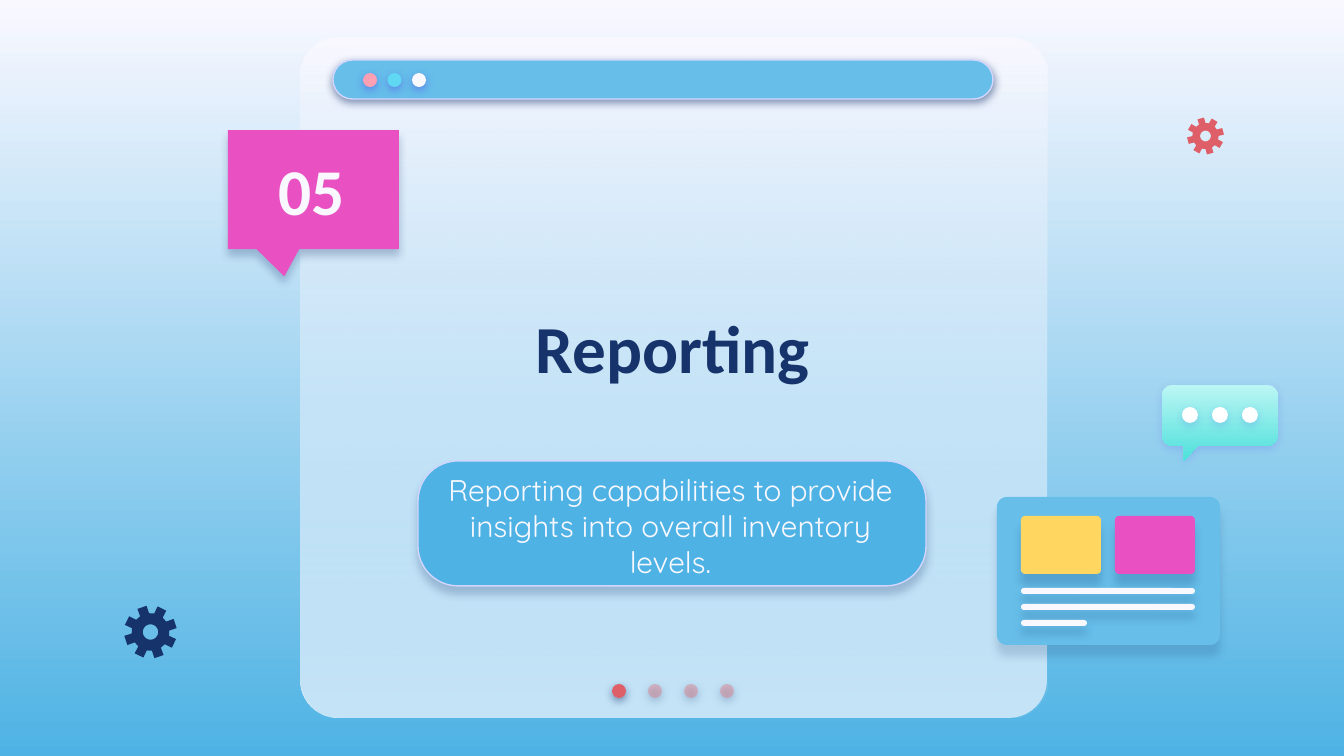
import math
from dataclasses import dataclass

from lxml import etree
from pptx import Presentation
from pptx import util as u
from pptx.dml.color import RGBColor
from pptx.enum import shapes, text
from pptx.oxml.ns import qn


@dataclass(frozen=True)
class Theme:
    light: str = "F9F8FF"
    white: str = "FFFFFF"
    navy: str = "17336B"
    violet: str = "5352EE"
    blue: str = "4EB3E4"
    sky: str = "66BEE9"
    border: str = "D2D6FF"
    pink: str = "E951C2"
    blush: str = "FDA0B4"
    cyan: str = "60D8F4"
    yellow: str = "FFD65F"
    red: str = "DF5F69"
    rose: str = "E27B83"
    mint: tuple = ("BBF6F4", "4EE0DB")
    heading_font: str = "Calibri"
    body_font: str = "Quicksand"
    title_size: int = 36
    number_size: int = 35
    body_size: int = 16


THEME = Theme()
SCALE = 914400 / 134.4
WIDTH, HEIGHT = 1344, 756
MSO = shapes.MSO_SHAPE

SECTION_NUMBER = "05"
SECTION_TITLE = "Reporting"
SECTION_SUMMARY = "Reporting capabilities to provide insights into overall inventory levels."

TITLE_BOX = (364, 224, 618, 245)
SUMMARY_BOX = (434, 473, 473, 105)
NUMBER_BOX = (241, 137, 142, 105)
CARD = (300, 38, 747, 680)
SUMMARY_PANEL = (418, 461, 508, 125)
ADDRESS_BAR = (333, 60, 660, 39)
CALLOUT = (228, 130, 171, 119)
BOARD = (997, 497, 223, 148)

PAGE_DOTS = [(THEME.red, 100)] + [(THEME.rose, 44)] * 3
WINDOW_DOTS = [(color, 100) for color in (THEME.blush, THEME.cyan, THEME.light)]
CHAT_DOTS = [(THEME.white, 100)] * 3
BOARD_TILES = [THEME.yellow, THEME.pink]
BOARD_LINES = [174, 174, 66]
GEARS = [(150.5, 632, 26.5, -109, THEME.navy), (1205.5, 136, 18.5, -105, THEME.red)]

BAR_SHADOW = (THEME.navy, 50, 1.5)
WINDOW_SHADOW = (THEME.violet, 50, 1.5)
CHAT_SHADOW = (THEME.violet, 18, 1.5)


def emu(px):
    return u.Emu(round(px * SCALE))


def fill_gradient(fill, colors):
    fill.gradient()
    fill.gradient_angle = 270
    for stop, color, position in zip(fill.gradient_stops, colors, (0, 1)):
        stop.color.rgb = RGBColor.from_string(color)
        stop.position = position


def set_alpha(color_element, percent):
    etree.SubElement(color_element, qn("a:alpha"), val=str(percent * 1000))


def paint(shape, color, alpha=100, border=None, shadow=None):
    if isinstance(color, tuple):
        fill_gradient(shape.fill, color)
    else:
        shape.fill.solid()
        shape.fill.fore_color.rgb = RGBColor.from_string(color)
    if alpha < 100:
        set_alpha(list(shape.element.iter(qn("a:srgbClr")))[-1], alpha)
    if border:
        shape.line.color.rgb = RGBColor.from_string(border)
        shape.line.width = u.Pt(0.75)
    else:
        shape.line.fill.background()
    shape.shadow.inherit = False
    if shadow:
        shadow_color, opacity, distance = shadow
        effects = next(shape.element.iter(qn("a:effectLst")))
        outer = etree.SubElement(
            effects, qn("a:outerShdw"), blurRad=str(u.Pt(4.5)),
            dist=str(u.Pt(distance)), dir="5400000", algn="bl", rotWithShape="0")
        set_alpha(etree.SubElement(outer, qn("a:srgbClr"), val=shadow_color), opacity)


def add_preset(slide, kind, box, color, radius=None, **look):
    shape = slide.shapes.add_shape(kind, *map(emu, box))
    if radius is not None:
        shape.adjustments[0] = radius / min(box[2:])
    paint(shape, color, **look)
    return shape


def add_dots(slide, dots, center, pitch, diameter, shadow):
    x, y = center
    for index, (color, alpha) in enumerate(dots):
        box = (x + index * pitch - diameter / 2, y - diameter / 2, diameter, diameter)
        add_preset(slide, MSO.OVAL, box, color, alpha=alpha, shadow=shadow)


def add_outline(slide, contours, color, **look):
    scaled = [[(emu(x), emu(y)) for x, y in contour] for contour in contours]
    builder = slide.shapes.build_freeform(*scaled[0][0])
    builder.add_line_segments(scaled[0][1:])
    for contour in scaled[1:]:
        builder.move_to(*contour[0])
        builder.add_line_segments(contour[1:])
    paint(builder.convert_to_shape(), color, **look)


def polar(x, y, radius, degrees):
    angle = math.radians(degrees)
    return x + radius * math.cos(angle), y + radius * math.sin(angle)


def add_gear(slide, x, y, radius, first_tooth, color):
    profile = [(-14.5, 0.71), (-10.5, 1), (10.5, 1), (14.5, 0.71)]
    rim = [polar(x, y, radius * ratio, first_tooth + tooth * 45 + offset)
           for tooth in range(8) for offset, ratio in profile]
    hole = [polar(x, y, radius * 0.29, -angle) for angle in range(0, 360, 10)]
    add_outline(slide, [rim, hole], color)


def add_chat_bubble(slide):
    left, top, right, bottom, radius = 1162, 385, 1278, 446, 11
    corners = [(right - radius, bottom - radius, 0), (left + radius, bottom - radius, 90),
               (left + radius, top + radius, 180), (right - radius, top + radius, 270)]
    arcs = [[polar(x, y, radius, start + step) for step in range(0, 91, 10)]
            for x, y, start in corners]
    tail = [(1198, bottom), (1184, 461), (1184, bottom)]
    bubble = arcs[0] + tail + arcs[1] + arcs[2] + arcs[3]
    add_outline(slide, [bubble], THEME.mint, shadow=CHAT_SHADOW)
    add_dots(slide, CHAT_DOTS, (1190, 415), 30, 16, CHAT_SHADOW)


def add_board(slide):
    add_preset(slide, MSO.ROUNDED_RECTANGLE, BOARD, THEME.sky, radius=10,
               shadow=(THEME.navy, 17, 6))
    for index, color in enumerate(BOARD_TILES):
        add_preset(slide, MSO.ROUNDED_RECTANGLE, (1021 + index * 94, 516, 80, 58), color,
                   radius=4, shadow=(THEME.navy, 20, 6))
    for index, width in enumerate(BOARD_LINES):
        add_preset(slide, MSO.ROUNDED_RECTANGLE, (1021, 588 + index * 16, width, 6),
                   THEME.light, radius=3, shadow=(THEME.navy, 21, 4.5))


def write_text(shape, words, box, size, font, color, bold=False, after=0,
               anchor=text.MSO_ANCHOR.MIDDLE):
    shape.left, shape.top, shape.width, shape.height = map(emu, box)
    frame = shape.text_frame
    frame.word_wrap = True
    frame.auto_size = text.MSO_AUTO_SIZE.NONE
    frame.vertical_anchor = anchor
    frame.margin_left = frame.margin_right = u.Inches(0.1)
    frame.margin_top = frame.margin_bottom = u.Inches(0.1)
    paragraph = frame.paragraphs[0]
    paragraph.alignment = text.PP_ALIGN.CENTER
    paragraph.space_before, paragraph.space_after = u.Pt(0), u.Pt(after)
    run = paragraph.add_run()
    run.text = words
    run.font.size, run.font.name, run.font.bold = u.Pt(size), font, bold
    run.font.color.rgb = RGBColor.from_string(color)
    shape.element.getparent().append(shape.element)


def main():
    presentation = Presentation()
    presentation.slide_width, presentation.slide_height = emu(WIDTH), emu(HEIGHT)
    slide = presentation.slides.add_slide(presentation.slide_layouts[0])
    title, summary = slide.placeholders
    fill_gradient(slide.background.fill, (THEME.light, THEME.blue))

    add_preset(slide, MSO.ROUNDED_RECTANGLE, CARD, THEME.light, radius=38)
    add_preset(slide, MSO.ROUNDED_RECTANGLE, CARD, (THEME.light, THEME.sky), radius=38, alpha=35)
    add_dots(slide, PAGE_DOTS, (619, 691), 36, 14, BAR_SHADOW)
    add_preset(slide, MSO.ROUNDED_RECTANGLE, ADDRESS_BAR, THEME.sky, radius=19.5,
               border=THEME.border, shadow=BAR_SHADOW)
    add_dots(slide, WINDOW_DOTS, (370, 80), 24.5, 14, WINDOW_SHADOW)
    callout = add_preset(slide, MSO.ROUNDED_RECTANGULAR_CALLOUT, CALLOUT, THEME.pink,
                         shadow=(THEME.navy, 25, 3.8))
    for index, value in enumerate((-0.17, 0.73, 0)):
        callout.adjustments[index] = value
    add_preset(slide, MSO.ROUNDED_RECTANGLE, SUMMARY_PANEL, THEME.blue, radius=40,
               border=THEME.border, shadow=(THEME.navy, 24, 3.8))

    write_text(title, SECTION_TITLE, TITLE_BOX, THEME.title_size, THEME.heading_font,
               THEME.navy, bold=True)
    write_text(summary, SECTION_SUMMARY, SUMMARY_BOX, THEME.body_size, THEME.body_font,
               THEME.light, after=12)
    add_board(slide)
    add_chat_bubble(slide)
    for gear in GEARS:
        add_gear(slide, *gear)
    number = slide.shapes.add_textbox(*map(emu, NUMBER_BOX))
    write_text(number, SECTION_NUMBER, NUMBER_BOX, THEME.number_size, THEME.heading_font,
               THEME.light, bold=True, anchor=text.MSO_ANCHOR.BOTTOM)
    presentation.save("out.pptx")


if __name__ == "__main__":
    main()
